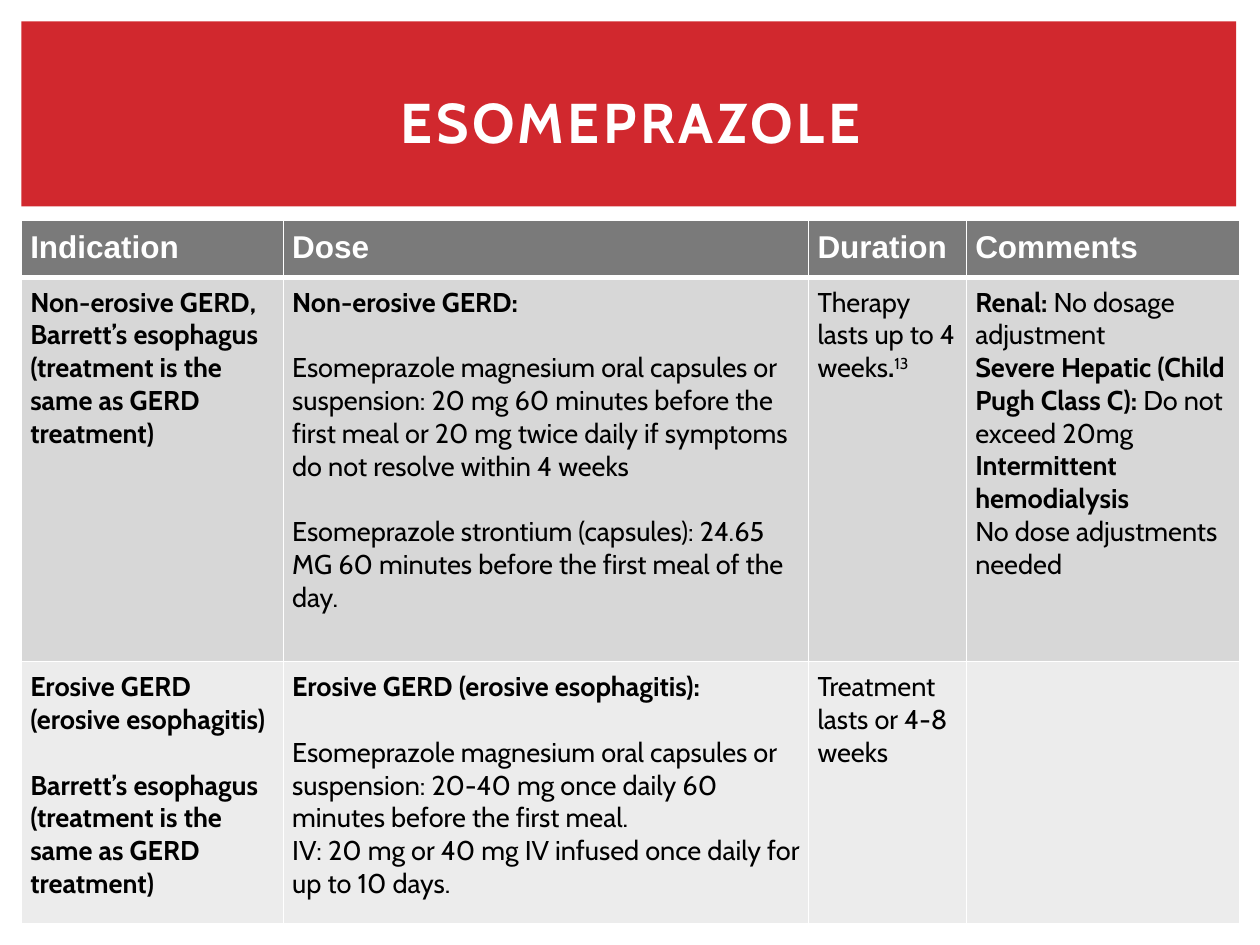
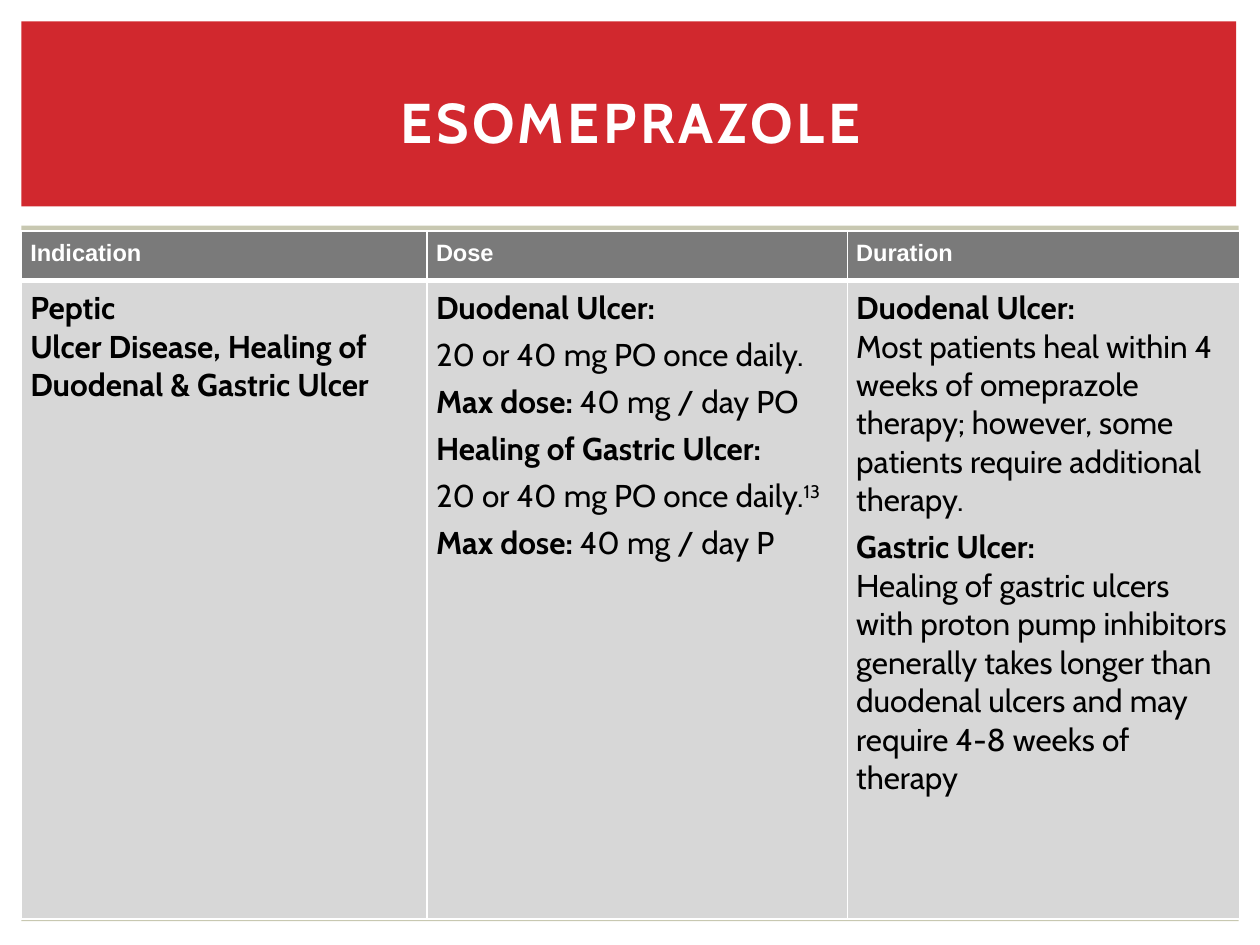
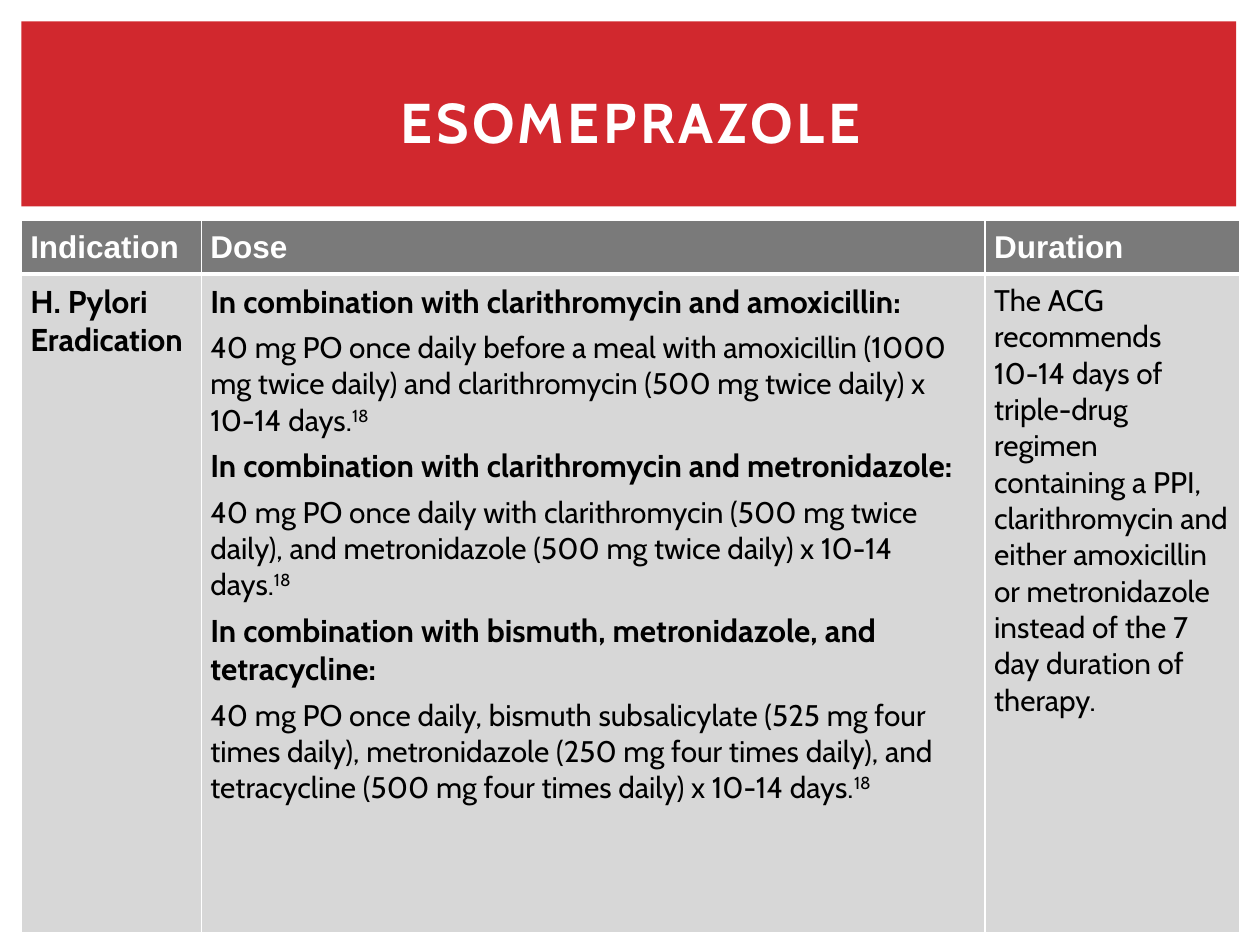
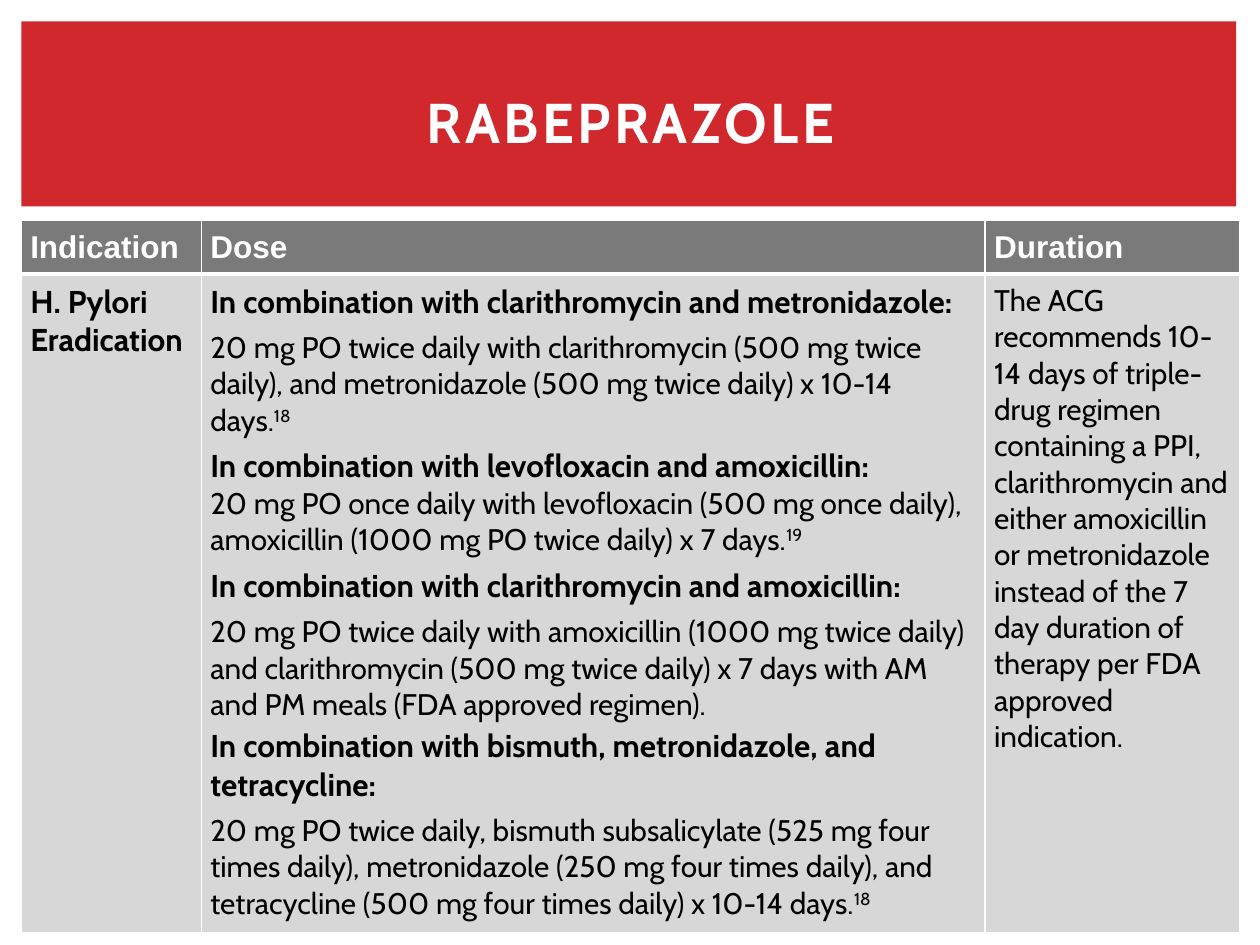
from dataclasses import dataclass

from lxml.etree import SubElement
from pptx import Presentation
from pptx.dml.color import RGBColor
from pptx.enum.shapes import MSO_SHAPE
from pptx.enum.text import MSO_ANCHOR, PP_ALIGN
from pptx.oxml.ns import qn
from pptx.util import Cm, Pt


@dataclass(frozen=True)
class Theme:
    red: RGBColor = RGBColor.from_string("D1282E")
    beige: RGBColor = RGBColor.from_string("C8C8B1")
    header: RGBColor = RGBColor.from_string("7A7A7A")
    rows: tuple = (RGBColor.from_string("D7D7D7"), RGBColor.from_string("ECECEC"))
    white: RGBColor = RGBColor.from_string("FFFFFF")
    black: RGBColor = RGBColor.from_string("000000")
    body_font: str = "Cabin"
    header_font: str = "Arial"
    title_size: float = 32
    # Sizes of table header, bold text and plain text
    compact: tuple = (18, 15.5, 15.5)
    roomy: tuple = (13.5, 18, 18)
    mixed: tuple = (18, 18, 17)


theme = Theme()
LEFT = Cm(0.43)
CELL_MARGIN = Cm(0.18)
LINE_GAP = 18.8
GAP = 4.9
SMALL_GAP = 2.4

# Each cell is a list of (space before in points, text).
# In the text, *...* is bold and ^...^ is superscript.
BARRETT = "*Barrett’s esophagus (treatment is the same as GERD treatment)*"
PYLORI = [(0, "*H. Pylori Eradication*")]
WITH_AMOXICILLIN = "*In combination with clarithromycin and amoxicillin:*"
WITH_METRONIDAZOLE = "*In combination with clarithromycin and metronidazole:*"
WITH_LEVOFLOXACIN = "*In combination with levofloxacin and amoxicillin:*"
WITH_BISMUTH = "*In combination with bismuth, metronidazole, and tetracycline:*"
METRONIDAZOLE_DOSE = (
    "with clarithromycin (500 mg twice daily), and metronidazole "
    "(500 mg twice daily) x 10-14 days.^18^"
)
BISMUTH_DOSE = (
    "bismuth subsalicylate (525 mg four times daily), metronidazole (250 mg four "
    "times daily), and tetracycline (500 mg four times daily) x 10-14 days.^18^"
)
TRIPLE_THERAPY = (
    "10-14 days of triple-drug regimen containing a PPI, clarithromycin and either "
    "amoxicillin or metronidazole instead of the 7 day duration of therapy"
)

pages = [
    {
        "title": "ESOMEPRAZOLE",
        "sizes": theme.compact,
        "top": 4.45,
        "columns": [5.28, 10.59, 3.18, 5.51],
        "heights": [1.14, 7.75, 5.28],
        "headings": ["Indication", "Dose", "Duration", "Comments"],
        "rows": [
            [
                [(0, "*Non-erosive GERD,*"), (0, BARRETT)],
                [
                    (0, "*Non-erosive GERD:*"),
                    (LINE_GAP, "Esomeprazole magnesium oral capsules or suspension: "
                     "20 mg 60 minutes before the first meal or 20 mg twice daily if "
                     "symptoms do not resolve within 4 weeks"),
                    (LINE_GAP, "Esomeprazole strontium (capsules): 24.65 MG 60 minutes "
                     "before the first meal of the day."),
                ],
                [(0, "Therapy lasts up to 4 weeks*.*^13^")],
                [
                    (0, "*Renal:* No dosage adjustment"),
                    (0, "*Severe Hepatic (Child Pugh Class C): *Do not exceed 20mg"),
                    (0, "*Intermittent hemodialysis*"),
                    (0, "No dose adjustments needed"),
                ],
            ],
            [
                [
                    (0, "*Erosive GERD*"),
                    (0, "*(erosive esophagitis)*"),
                    (LINE_GAP, BARRETT),
                ],
                [
                    (0, "*Erosive GERD (erosive esophagitis):*"),
                    (LINE_GAP, "Esomeprazole magnesium oral capsules or suspension: "
                     "20-40 mg once daily 60 minutes before the first meal."),
                    (0, "IV: 20 mg or 40 mg IV infused once daily for up to 10 days."),
                ],
                [(0, "Treatment lasts or 4-8 weeks")],
                [],
            ],
        ],
    },
    {
        "title": "ESOMEPRAZOLE",
        "sizes": theme.roomy,
        "top": 4.66,
        "columns": [8.18, 8.47, 7.91],
        "heights": [0.99, 12.88],
        "headings": ["Indication", "Dose", "Duration"],
        "rows": [
            [
                [
                    (0, "*Peptic*"),
                    (0, "*Ulcer Disease, Healing of Duodenal & Gastric Ulcer*"),
                ],
                [
                    (0, "*Duodenal Ulcer:*"),
                    (GAP, "20 or 40 mg PO once daily."),
                    (GAP, "*Max dose: *40 mg / day PO"),
                    (GAP, "*Healing of Gastric Ulcer:*"),
                    (GAP, "20 or 40 mg PO once daily.^13^"),
                    (GAP, "*Max dose: *40 mg / day P"),
                ],
                [
                    (0, "*Duodenal Ulcer:*"),
                    (0, "Most patients heal within 4 weeks of omeprazole therapy; "
                     "however, some patients require additional therapy."),
                    (GAP, "*Gastric Ulcer:*"),
                    (0, "Healing of gastric ulcers with proton pump inhibitors "
                     "generally takes longer than duodenal ulcers and may require "
                     "4-8 weeks of therapy"),
                ],
            ],
        ],
    },
    {
        "title": "ESOMEPRAZOLE",
        "sizes": theme.mixed,
        "top": 4.45,
        "columns": [3.63, 15.8, 5.13],
        "heights": [0.91, 13.28],
        "headings": ["Indication", "Dose", "Duration"],
        "rows": [
            [
                PYLORI,
                [
                    (0, WITH_AMOXICILLIN),
                    (GAP, "40 mg PO once daily before a meal with amoxicillin (1000 mg "
                     "twice daily) and clarithromycin (500 mg twice daily) x "
                     "10-14 days.^18^"),
                    (GAP, WITH_METRONIDAZOLE),
                    (GAP, f"40 mg PO once daily {METRONIDAZOLE_DOSE}"),
                    (GAP, WITH_BISMUTH),
                    (GAP, f"40 mg PO once daily, {BISMUTH_DOSE}"),
                ],
                [(0, "The ACG recommends"), (0, f"{TRIPLE_THERAPY}.")],
            ],
        ],
    },
    {
        "title": "RABEPRAZOLE",
        "sizes": theme.mixed,
        "top": 4.45,
        "columns": [3.63, 15.8, 5.13],
        "heights": [0.91, 13.28],
        "headings": ["Indication", "Dose", "Duration"],
        "rows": [
            [
                PYLORI,
                [
                    (0, WITH_METRONIDAZOLE),
                    (GAP, f"20 mg PO twice daily {METRONIDAZOLE_DOSE}"),
                    (GAP, WITH_LEVOFLOXACIN),
                    (0, "20 mg PO once daily with levofloxacin (500 mg once daily), "
                     "amoxicillin (1000 mg PO twice daily) x 7 days.^19^"),
                    (GAP, WITH_AMOXICILLIN),
                    (GAP, "20 mg PO twice daily with amoxicillin (1000 mg twice daily) "
                     "and clarithromycin (500 mg twice daily) x 7 days with AM and PM "
                     "meals (FDA approved regimen)."),
                    (SMALL_GAP, WITH_BISMUTH),
                    (GAP, f"20 mg PO twice daily, {BISMUTH_DOSE}"),
                ],
                [(0, f"The ACG recommends {TRIPLE_THERAPY} per FDA approved indication.")],
            ],
        ],
    },
]


def format_run(run, font_name, size, color, bold):
    run.font.name = font_name
    run.font.size = Pt(size)
    run.font.color.rgb = color
    run.font.bold = bold


def format_cell(cell, fill, bottom_width):
    """Set margins, white borders and fill; borders must precede the fill in the XML."""
    cell.margin_left = cell.margin_right = CELL_MARGIN
    cell.margin_top = cell.margin_bottom = CELL_MARGIN
    properties = cell._tc.get_or_add_tcPr()
    for side, width in (("L", 1), ("R", 1), ("T", 1), ("B", bottom_width)):
        border = SubElement(properties, qn(f"a:ln{side}"), w=str(Pt(width)))
        SubElement(SubElement(border, qn("a:solidFill")), qn("a:srgbClr"),
                   val=str(theme.white))
    cell.fill.solid()
    cell.fill.fore_color.rgb = fill


presentation = Presentation()
presentation.slide_width = Cm(25.4)
presentation.slide_height = Cm(19.05)
layout = presentation.slide_layouts[5]
slides = [presentation.slides.add_slide(layout) for page in pages]

# The content panel and the title band belong to the layout, behind the title
for placeholder in list(layout.placeholders)[1:]:
    placeholder.element.getparent().remove(placeholder.element)
backdrops = []
for top, width, height, color in (
    (4.55, 24.54, 14.02, theme.beige),
    (0.43, 24.49, 3.73, theme.red),
):
    shape = slides[0].shapes.add_shape(
        MSO_SHAPE.RECTANGLE, LEFT, Cm(top), Cm(width), Cm(height))
    shape.shadow.inherit = False
    shape.fill.solid()
    shape.fill.fore_color.rgb = color
    shape.line.fill.background()
    backdrops.append(shape)
for position, shape in enumerate(backdrops, start=2):
    layout.shapes.element.insert(position, shape.element)

for slide, page in zip(slides, pages):
    title = slide.shapes.title
    title.left, title.top, title.width, title.height = (
        Cm(1.07), Cm(0.99), Cm(23.29), Cm(2.92))
    title.text_frame.text = page["title"]
    title.text_frame.vertical_anchor = MSO_ANCHOR.MIDDLE
    paragraph = title.text_frame.paragraphs[0]
    paragraph.alignment = PP_ALIGN.CENTER
    run = paragraph.runs[0]
    format_run(run, theme.body_font, theme.title_size, theme.white, True)
    run._r.get_or_add_rPr().set("spc", "200")

    header_size, bold_size, plain_size = page["sizes"]
    table = slide.shapes.add_table(
        len(page["heights"]), len(page["columns"]), LEFT, Cm(page["top"]),
        Cm(sum(page["columns"])), Cm(sum(page["heights"]))).table
    table.horz_banding = False
    for column, width in zip(table.columns, page["columns"]):
        column.width = Cm(width)
    for row, height in zip(table.rows, page["heights"]):
        row.height = Cm(height)

    for column_index, heading in enumerate(page["headings"]):
        cell = table.cell(0, column_index)
        format_cell(cell, theme.header, 3)
        cell.text_frame.text = heading
        format_run(cell.text_frame.paragraphs[0].runs[0], theme.header_font,
                   header_size, theme.white, True)

    for row_index, row_cells in enumerate(page["rows"], start=1):
        for column_index, lines in enumerate(row_cells):
            cell = table.cell(row_index, column_index)
            format_cell(cell, theme.rows[row_index - 1], 1)
            for line_index, (gap, text) in enumerate(lines):
                text_frame = cell.text_frame
                paragraph = (text_frame.add_paragraph() if line_index
                             else text_frame.paragraphs[0])
                paragraph.space_before = Pt(gap)
                for bold_index, part in enumerate(text.split("*")):
                    bold = bold_index % 2 == 1
                    for raised_index, piece in enumerate(part.split("^")):
                        if not piece:
                            continue
                        run = paragraph.add_run()
                        run.text = piece
                        format_run(run, theme.body_font,
                                   bold_size if bold else plain_size,
                                   theme.black, bold)
                        if raised_index % 2:
                            run._r.get_or_add_rPr().set("baseline", "30000")

presentation.save("out.pptx")
